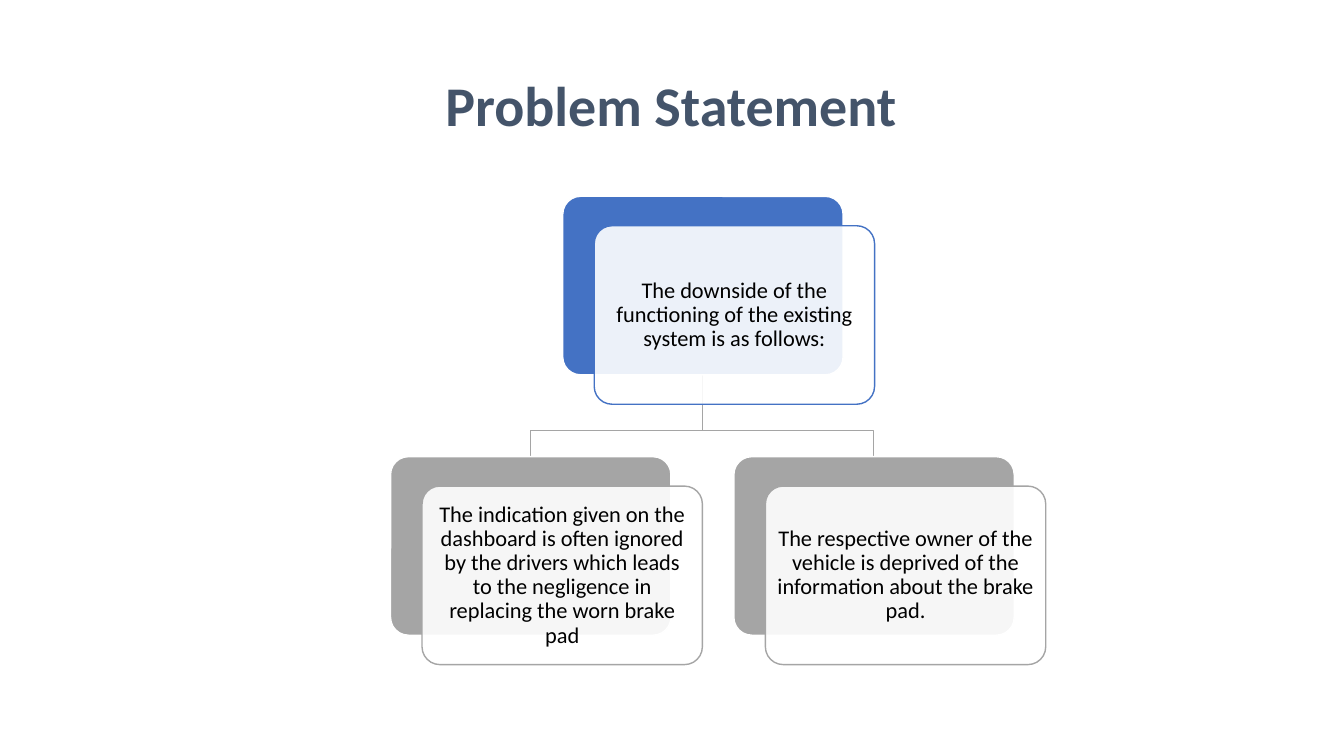
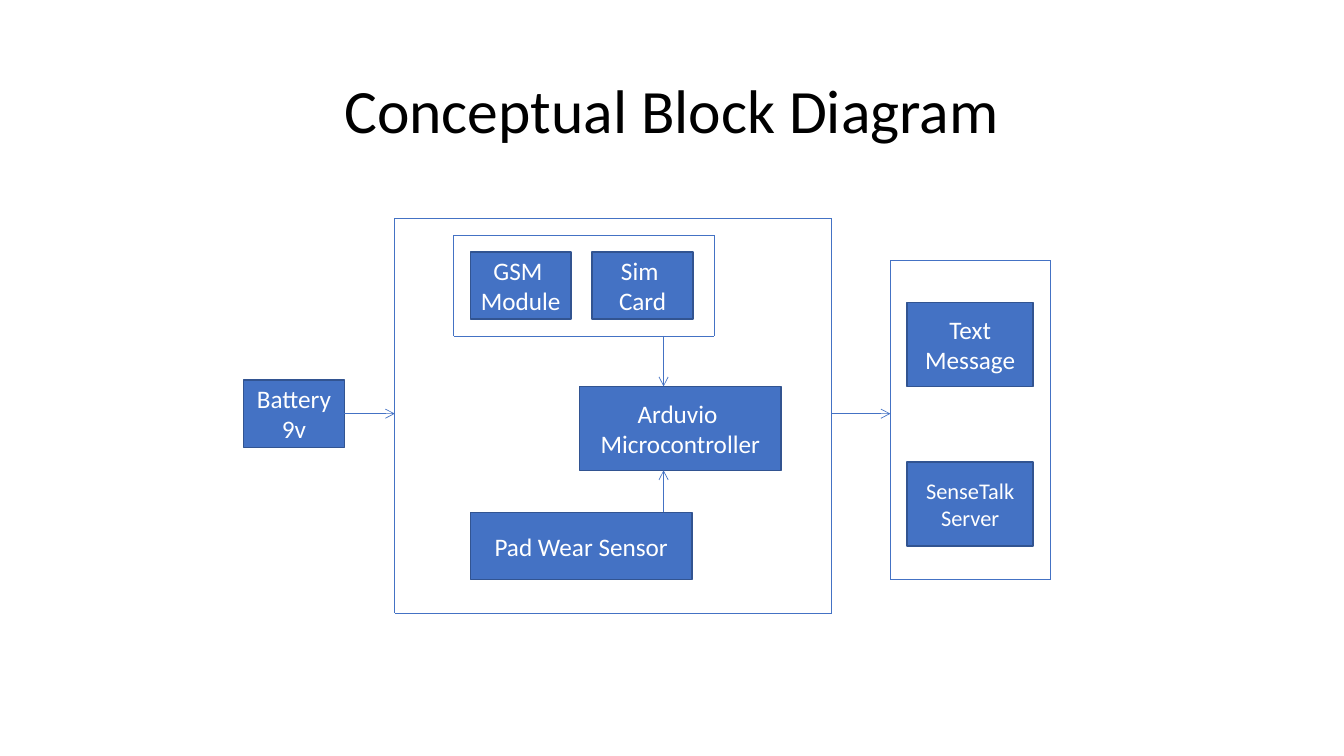
"""Build two slides: a problem statement tree and a conceptual block diagram."""
from lxml.etree import SubElement
from pptx import Presentation
from pptx.dml.color import RGBColor
from pptx.enum.shapes import MSO_CONNECTOR, MSO_SHAPE
from pptx.enum.text import MSO_ANCHOR, PP_ALIGN
from pptx.oxml.ns import qn
from pptx.util import Pt

PX = 9525
FONT = "Calibri"
BLUE = RGBColor(0x44, 0x72, 0xC4)
DARK_BLUE = RGBColor(0x32, 0x54, 0x91)
SLATE = RGBColor(0x44, 0x54, 0x6A)
GRAY = RGBColor(0xA5, 0xA5, 0xA5)
WHITE = RGBColor(0xFF, 0xFF, 0xFF)
BLACK = RGBColor(0x00, 0x00, 0x00)


def add_box(s, kind, rect, fill, line):
    sp = s.shapes.add_shape(kind, *[v * PX for v in rect])
    sp.shadow.inherit = False
    sp.fill.solid()
    sp.fill.fore_color.rgb = fill
    sp.line.color.rgb = line
    sp.line.width = Pt(1)
    return sp


def add_text(sp, lines, size, color, spacing=1.0, bold=False):
    tf = sp.text_frame
    tf.word_wrap = True
    tf.vertical_anchor = MSO_ANCHOR.MIDDLE
    for i, line in enumerate(lines):
        p = tf.add_paragraph() if i else tf.paragraphs[0]
        p.alignment = PP_ALIGN.CENTER
        p.line_spacing = spacing
        r = p.add_run()
        r.text = line
        r.font.name = FONT
        r.font.size = Pt(size)
        r.font.bold = bold
        r.font.color.rgb = color


prs = Presentation()
prs.slide_width, prs.slide_height = 1280 * PX, 720 * PX

titles = [
    ("Problem Statement", (123, 34, 1032, 139), 40, SLATE, True),
    ("Conceptual Block Diagram", (88, 39, 1104, 139), 44, BLACK, False),
]
slides = []
for title, rect, size, color, bold in titles:
    s = prs.slides.add_slide(prs.slide_layouts[6])
    sp = s.shapes.add_textbox(*[v * PX for v in rect])
    add_text(sp, [title], size, color, 0.9, bold)
    slides.append(s)
problem, diagram = slides

CARD_W, CARD_H = 267, 170
ROOT_X, ROOT_Y = 536, 187
CHILD_X, CHILD_Y, CHILD_STEP = 372, 435, 327
BEND_Y = 410
root_mid = ROOT_X + CARD_W // 2
for x in (CHILD_X + CHILD_STEP, CHILD_X):
    child_mid = x + CARD_W // 2
    fb = problem.shapes.build_freeform(root_mid, ROOT_Y + CARD_H, scale=PX)
    fb.add_line_segments(
        [(root_mid, BEND_Y), (child_mid, BEND_Y), (child_mid, CHILD_Y)], close=False)
    branch = fb.convert_to_shape()
    branch.shadow.inherit = False
    branch.fill.background()
    branch.line.color.rgb = GRAY
    branch.line.width = Pt(1)

cards = [
    (ROOT_X, ROOT_Y, BLUE,
     "The downside of the functioning of the existing system is as follows:"),
    (CHILD_X, CHILD_Y, GRAY,
     "The indication given on the dashboard is often ignored by the drivers "
     "which leads to the negligence in replacing the worn brake pad"),
    (CHILD_X + CHILD_STEP, CHILD_Y, GRAY,
     "The respective owner of the vehicle is deprived of the information "
     "about the brake pad."),
]
for x, y, color, text in cards:
    back = add_box(problem, MSO_SHAPE.ROUNDED_RECTANGLE,
                   (x, y, CARD_W, CARD_H), color, WHITE)
    front = add_box(problem, MSO_SHAPE.ROUNDED_RECTANGLE,
                    (x + 30, y + 28, CARD_W, CARD_H), WHITE, color)
    back.adjustments[0] = front.adjustments[0] = 0.1
    clr = front.fill._xPr.find(qn("a:solidFill"))[0]
    SubElement(clr, qn("a:alpha")).set("val", "90000")
    tf = front.text_frame
    tf.margin_left = tf.margin_right = tf.margin_top = tf.margin_bottom = 6 * PX
    add_text(front, [text], 16, BLACK, 0.9)

blocks = [
    ((552, 368, 192, 80), ["Arduvio ", "Microcontroller"], 18),
    ((448, 240, 96, 64), ["GSM ", "Module"], 18),
    ((564, 240, 96, 64), ["Sim ", "Card"], 18),
    ((448, 488, 211, 64), ["Pad Wear Sensor"], 18),
    ((864, 288, 120, 80), ["Text Message"], 18),
    ((864, 440, 120, 80), ["SenseTalk", "Server"], 16),
    ((232, 362, 96, 64), ["Battery 9v"], 18),
]
for rect, lines, size in blocks:
    block = add_box(diagram, MSO_SHAPE.RECTANGLE, rect, BLUE, DARK_BLUE)
    add_text(block, lines, size, WHITE)
battery = block

arrows = [
    (632, 320, 632, 368),
    (632, 488, 632, 448),
    (328, 394, 376, 394),
    (792, 394, 848, 394),
]
frames = [(376, 208, 792, 584), (432, 224, 680, 320), (848, 248, 1000, 552)]
edges = []
for x1, y1, x2, y2 in frames:
    edges += [(x1, y1, x2, y1), (x1, y2, x2, y2), (x1, y1, x1, y2), (x2, y1, x2, y2)]

connectors = []
for ends in edges + arrows:
    cxn = diagram.shapes.add_connector(MSO_CONNECTOR.STRAIGHT, *[v * PX for v in ends])
    cxn.line.color.rgb = BLUE
    cxn.line.width = Pt(0.5)
    SubElement(cxn._element.spPr, qn("a:effectLst"))
    connectors.append(cxn)

for arrow in connectors[len(edges):]:
    SubElement(arrow.line._get_or_add_ln(), qn("a:tailEnd")).set("type", "arrow")
battery_arrow = connectors[len(edges) + 2]
battery_arrow.begin_connect(battery, 3)

prs.save("out.pptx")
